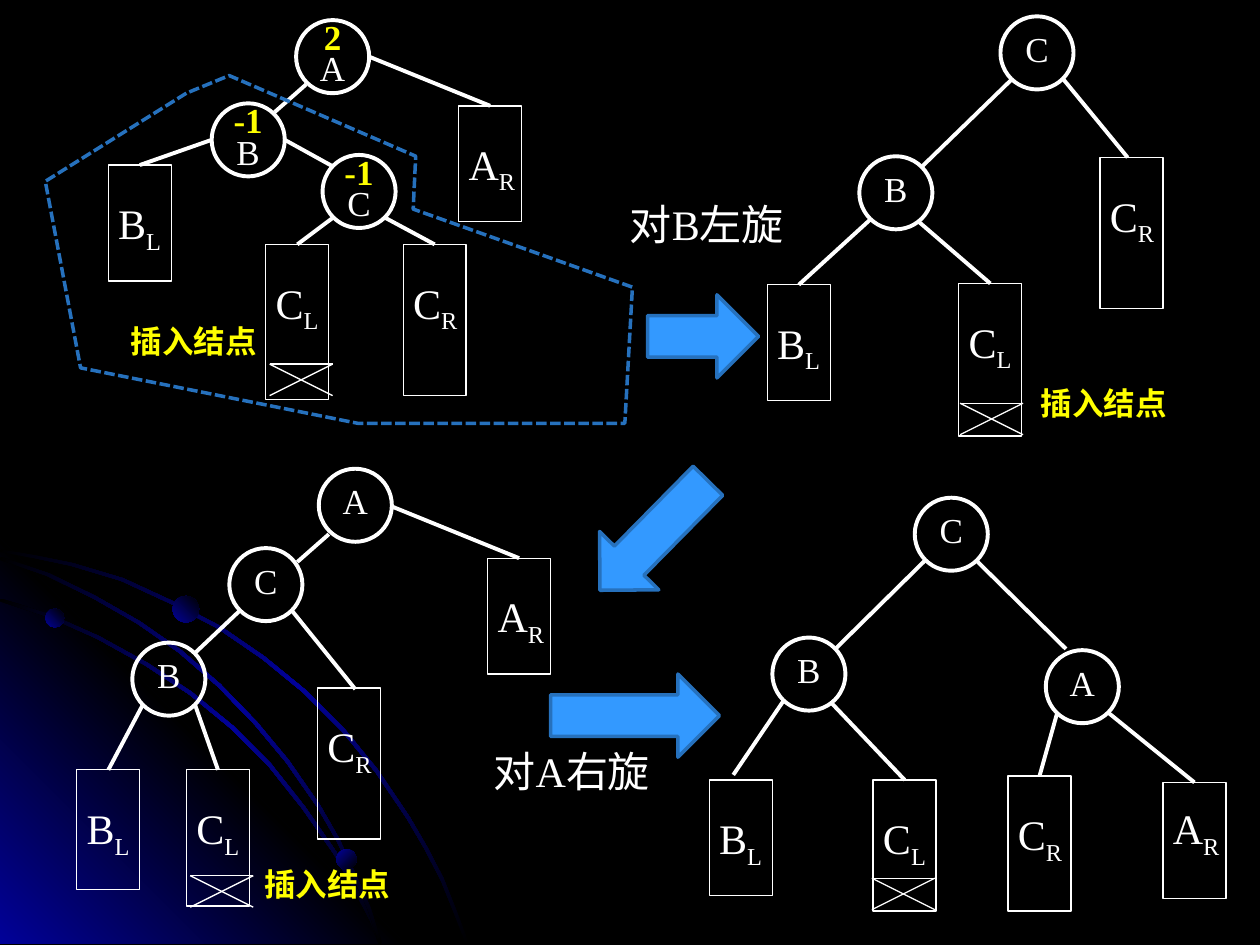
from lxml import etree
from pptx import Presentation
from pptx.dml.color import RGBColor
from pptx.enum.dml import MSO_LINE
from pptx.enum.shapes import MSO_CONNECTOR, MSO_SHAPE
from pptx.enum.text import MSO_ANCHOR, MSO_AUTO_SIZE, PP_ALIGN
from pptx.oxml.ns import qn
from pptx.util import Cm, Pt

STRAIGHT = MSO_CONNECTOR.STRAIGHT
OVAL, RECT, ARROW = MSO_SHAPE.OVAL, MSO_SHAPE.RECTANGLE, MSO_SHAPE.RIGHT_ARROW
MIDDLE, CENTER = MSO_ANCHOR.MIDDLE, PP_ALIGN.CENTER
DASHED, GROW = MSO_LINE.SQUARE_DOT, MSO_AUTO_SIZE.SHAPE_TO_FIT_TEXT

COLORS = {"black": "000000", "white": "FFFFFF", "yellow": "FFFF00",
          "glow": "010199", "arrow": "3399FF", "outline": "2671BD"}
NODE_FONT = {"name": "Times New Roman", "size": Pt(20), "bold": False}
FACTOR_FONT = NODE_FONT | {"bold": True}
TREE_FONT = NODE_FONT | {"size": Pt(24)}
INSERT_FONT = NODE_FONT | {"size": Pt(18), "bold": True}

NODE_SIZE, SUBTREE_WIDTH, CROSS_HEIGHT = 0.58, 0.5, 0.25
LABEL_WIDTHS = {"BL": 0.56, "CL": 0.56, "CR": 0.57, "AR": 0.59}

TREES = [
    {"nodes": [("A", 2.35, 0.16, "2"), ("B", 1.68, 0.82, "-1"), ("C", 2.56, 1.23, "-1")],
     "subtrees": [("BL", 0.86, 1.31, 0.92), ("CL", 2.11, 1.94, 1.23),
                  ("CR", 3.2, 1.94, 1.2), ("AR", 3.64, 0.84, 0.92)],
     "edges": [(2.43, 0.67, 2.18, 0.89), (2.26, 1.11, 2.64, 1.32), (2.64, 1.73, 2.36, 1.94),
               (3.06, 1.73, 3.45, 1.94), (2.93, 0.45, 3.89, 0.84), (1.68, 1.11, 1.11, 1.31)],
     "cross": (2.14, 2.89), "insert": (0.94, 2.51)},
    {"nodes": [("B", 6.82, 1.24, ""), ("C", 7.94, 0.13, "")],
     "subtrees": [("BL", 6.09, 2.26, 0.92), ("CL", 7.61, 2.25, 1.21), ("CR", 8.73, 1.25, 1.2)],
     "edges": [(7.32, 1.32, 8.03, 0.63), (7.28, 1.75, 7.86, 2.25),
               (8.44, 0.63, 8.95, 1.25), (6.91, 1.74, 6.34, 2.26)],
     "cross": (7.62, 3.2), "insert": (8.16, 3)},
    {"nodes": [("A", 2.53, 3.72, ""), ("B", 1.05, 5.1, ""), ("C", 1.82, 4.35, "")],
     "subtrees": [("BL", 0.61, 6.11, 0.95), ("CL", 1.48, 6.11, 1.08),
                  ("CR", 2.52, 5.46, 1.2), ("AR", 3.87, 4.43, 0.92)],
     "edges": [(2.61, 4.24, 2.36, 4.46), (3.11, 4.02, 4.12, 4.43), (1.55, 5.18, 1.9, 4.85),
               (1.55, 5.6, 1.73, 6.11), (2.32, 4.85, 2.82, 5.47), (1.13, 5.6, 0.86, 6.11)],
     "cross": (1.51, 6.95), "insert": (2, 6.82)},
    {"nodes": [("A", 8.3, 5.16, ""), ("B", 6.13, 5.06, ""), ("C", 7.26, 3.95, "")],
     "subtrees": [("BL", 5.63, 6.19, 0.92), ("CL", 6.93, 6.19, 1.04),
                  ("CR", 8, 6.16, 1.07), ("AR", 9.23, 6.21, 0.92, 0.11)],
     "edges": [(8.39, 5.66, 8.25, 6.16), (8.8, 5.66, 9.48, 6.21), (6.63, 5.15, 7.34, 4.45),
               (6.59, 5.57, 7.18, 6.19), (7.75, 4.45, 8.46, 5.15), (6.22, 5.56, 5.82, 6.15)],
     "cross": (6.92, 6.97), "insert": None},
]
ROTATIONS = [("对B左旋", 4.9, 1.53, 1.42), ("对A右旋", 3.82, 5.87, 1.44)]
STEP_ARROWS = [(5.14, 2.34, 0.88, 0), (4.58, 3.92, 1.22, 134.6), (4.37, 5.35, 1.34, 0)]
ROTATED_PART = [(1.48, 0.74), (0.36, 1.44), (0.64, 2.92), (2.84, 3.36), (4.96, 3.36),
                (5.02, 2.28), (3.28, 1.66), (3.3, 1.24), (1.82, 0.6)]
CORNER = [(0, 4.27), (3.22, 7.49), (0, 7.49)]
ORBITS = [
    [(0, 4.37), (0.28, 4.42), (0.57, 4.48), (0.97, 4.6), (1.36, 4.78), (1.74, 4.98),
     (2.09, 5.22), (2.42, 5.49), (2.72, 5.79), (2.99, 6.12), (3.24, 6.49), (3.38, 6.73),
     (3.51, 6.98), (3.61, 7.23), (3.71, 7.49)],
    [(0, 4.76), (0.4, 4.89), (0.78, 5.06), (1.16, 5.27), (1.51, 5.5), (1.84, 5.77),
     (2.14, 6.07), (2.41, 6.41), (2.66, 6.77), (2.86, 7.13), (2.95, 7.31), (3.02, 7.49)],
    [(0, 4.43), (0.38, 4.56), (0.75, 4.74), (1.1, 4.94), (1.43, 5.17), (1.74, 5.44),
     (2.03, 5.74), (2.28, 6.04), (2.53, 6.4), (2.68, 6.66), (2.81, 6.94), (2.93, 7.21),
     (3.02, 7.49)],
]
PLANETS = [(0.36, 4.83, 0.15, 315), (2.67, 6.74, 0.16, 45), (1.37, 4.73, 0.21, 315)]


def length(inches):
    return Cm(inches * 2.54)


def rgb(color):
    return RGBColor.from_string(COLORS[color])


def style(shape, fill=None, line=None, weight=0.75):
    shape.shadow.inherit = False
    if fill:
        shape.fill.solid()
        shape.fill.fore_color.rgb = rgb(fill)
    else:
        shape.fill.background()
    if line:
        shape.line.color.rgb = rgb(line)
        shape.line.width = Pt(weight)
    else:
        shape.line.fill.background()
    return shape


def add_shape(kind, x, y, width, height, **look):
    return style(shapes.add_shape(kind, *map(length, (x, y, width, height))), **look)


def add_outline(points, **look):
    corners = [(length(x), length(y)) for x, y in points]
    builder = shapes.build_freeform(*corners[0])
    builder.add_line_segments(corners[1:], close=True)
    return style(builder.convert_to_shape(), **look)


def shade(shape, stops, angle):
    shape.fill.gradient()
    gradient = shape._element.spPr.find(qn("a:gradFill"))
    stop_list = gradient.find(qn("a:gsLst"))
    for stop in list(stop_list):
        stop_list.remove(stop)
    for index, color in enumerate(stops):
        position = index * 100000 // (len(stops) - 1)
        stop = etree.SubElement(stop_list, qn("a:gs"), pos=str(position))
        etree.SubElement(stop, qn("a:srgbClr"), val=COLORS[color])
    gradient.find(qn("a:lin")).set("ang", str(angle * 60000))


def add_line(x1, y1, x2, y2, weight):
    line = shapes.add_connector(STRAIGHT, *map(length, (x1, y1, x2, y2)))
    line.line.color.rgb = rgb("white")
    line.line.width = Pt(weight)
    etree.SubElement(line._element.spPr, qn("a:effectLst"))


def write(paragraph, text, font_format, color="white"):
    run = paragraph.add_run()
    run.text = text
    for attribute, value in font_format.items():
        setattr(run.font, attribute, value)
    run.font.color.rgb = rgb(color)
    return run


def add_text(text, x, y, width, height, font_format, color="white", wrap=False):
    frame = shapes.add_textbox(*map(length, (x, y, width, height))).text_frame
    frame.word_wrap = wrap
    frame.auto_size = GROW
    write(frame.paragraphs[0], text, font_format, color)
    return frame.paragraphs[0]


def add_node(name, x, y, factor):
    node = add_shape(OVAL, x, y, NODE_SIZE, NODE_SIZE, line="white", weight=2.25)
    frame = node.text_frame
    frame.word_wrap = False
    frame.vertical_anchor = MIDDLE
    if factor:
        write(frame.paragraphs[0], factor, FACTOR_FONT, "yellow")
        frame.add_paragraph()
    write(frame.paragraphs[-1], name, NODE_FONT)
    for paragraph in frame.paragraphs:
        paragraph.alignment = CENTER
        paragraph.line_spacing = 0.75


def add_subtree(name, x, y, height, drop=0.21):
    add_shape(RECT, x, y, SUBTREE_WIDTH, height, line="white")
    parent, side = name
    label = add_text(parent, x - 0.02, y + drop, LABEL_WIDTHS[name], 0.5, TREE_FONT)
    write(label, side, TREE_FONT).font._element.set("baseline", "-25000")


def add_cross(x, y):
    right, bottom = x + SUBTREE_WIDTH, y + CROSS_HEIGHT
    for ends in ((x, y, right, y), (x, y, right, bottom), (x, bottom, right, y)):
        add_line(*ends, 0.75)


deck = Presentation()
deck.slide_width, deck.slide_height = length(10), length(7.5)
slide = deck.slides.add_slide(deck.slide_layouts[6])
slide.background.fill.solid()
slide.background.fill.fore_color.rgb = rgb("black")
shapes = slide.shapes

shade(add_outline(CORNER), ["glow", "black", "glow"], 315)
for orbit in ORBITS:
    upper = [(x + 0.01, y - 0.01) for x, y in orbit]
    lower = [(x - 0.01, y + 0.01) for x, y in reversed(orbit)]
    shade(add_outline(upper + lower), ["black", "glow", "black"], 45)
for x, y, size, angle in PLANETS:
    shade(add_shape(OVAL, x, y, size, size), ["glow", "black"], angle)

for tree in TREES:
    for node in tree["nodes"]:
        add_node(*node)
    for subtree in tree["subtrees"]:
        add_subtree(*subtree)
    for edge in tree["edges"]:
        add_line(*edge, 2.25)
    add_cross(*tree["cross"])
    if tree["insert"]:
        add_text("插入结点", *tree["insert"], 1.21, 0.4, INSERT_FONT, "yellow")

for caption, x, y, width in ROTATIONS:
    add_text(caption, x, y, width, 0.5, TREE_FONT, wrap=True)
for x, y, width, turn in STEP_ARROWS:
    add_shape(ARROW, x, y, width, 0.66, fill="arrow", line="outline", weight=2).rotation = turn
add_outline(ROTATED_PART, line="outline", weight=2).line.dash_style = DASHED

deck.save("out.pptx")
